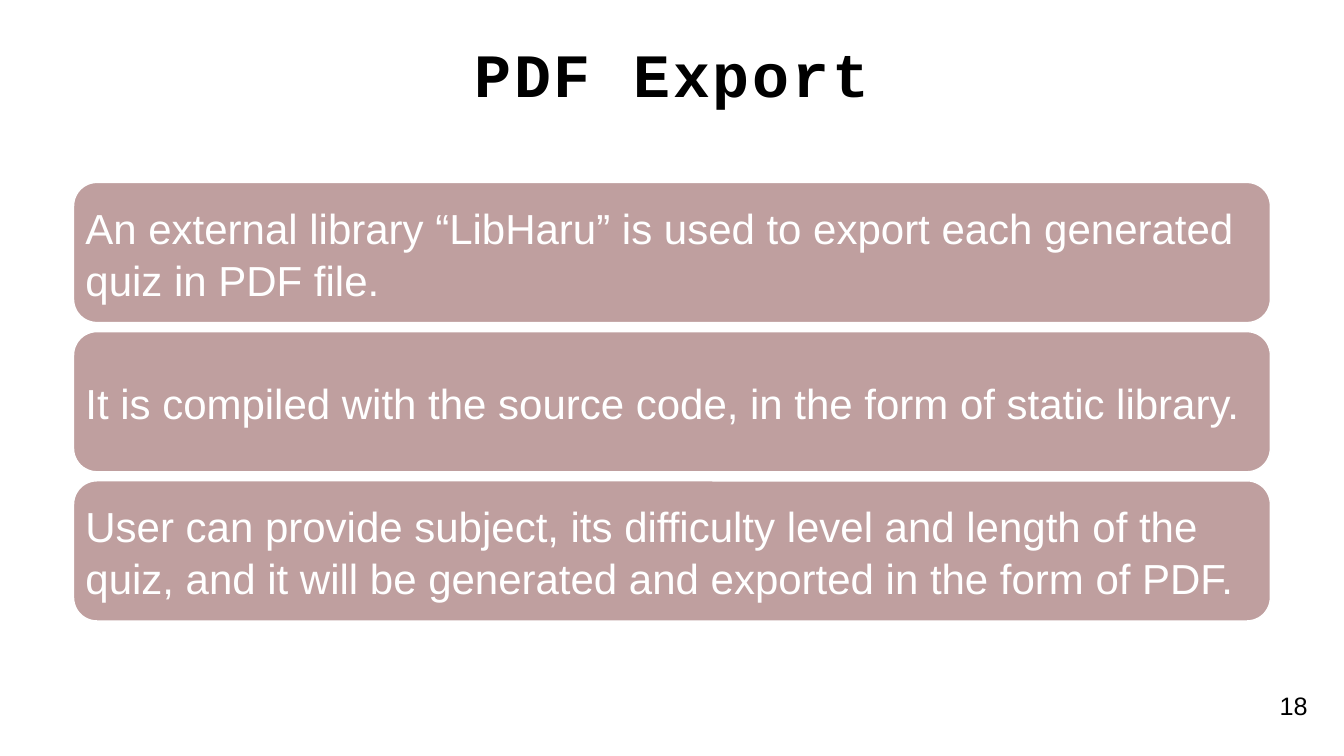
from dataclasses import dataclass

from pptx import Presentation
from pptx.dml.color import RGBColor
from pptx.enum.shapes import MSO_SHAPE
from pptx.enum.text import MSO_ANCHOR as Anchor, MSO_AUTO_SIZE as AutoSize, PP_ALIGN as Align
from pptx.slide import Slide
from pptx.text.text import TextFrame
from pptx.util import Emu, Pt

EMU_PER_PX = 9144
BLACK = RGBColor(0x00, 0x00, 0x00)
WHITE = RGBColor(0xFF, 0xFF, 0xFF)
ROSE = RGBColor(0xBF, 0x9F, 0x9F)


@dataclass(frozen=True)
class Box:
    left: int
    top: int
    width: int
    height: int

    def emu(self) -> tuple[Emu, Emu, Emu, Emu]:
        return px(self.left), px(self.top), px(self.width), px(self.height)


@dataclass(frozen=True)
class Style:
    font: str
    size: int
    color: RGBColor
    align: Align
    bold: bool = False
    tracking: int = 0
    line_spacing: float = 1.0


TITLE = Style("Courier New", 44, BLACK, Align.CENTER, bold=True, tracking=2)
POINT = Style("Arial", 30, WHITE, Align.LEFT, line_spacing=1.04)
NUMBER = Style("Arial", 18, BLACK, Align.CENTER)

TITLE_BOX = Box(73, 48, 1187, 48)
NUMBER_BOX = Box(1259, 680, 48, 40)
FIRST_CARD = Box(73, 181, 1187, 139)
CARD_PITCH = 148
CARD_INSET = 5

POINTS = [
    "An external library “LibHaru” is used to export each generated quiz in PDF file.",
    "It is compiled with the source code, in the form of static library.",
    "User can provide subject, its difficulty level and length of the quiz, "
    "and it will be generated and exported in the form of PDF.",
]


def px(n: int) -> Emu:
    return Emu(n * EMU_PER_PX)


def write(tf: TextFrame, text: str, style: Style) -> None:
    tf.text = text
    tf.word_wrap = True
    tf.auto_size = AutoSize.NONE
    tf.vertical_anchor = Anchor.MIDDLE
    p = tf.paragraphs[0]
    p.alignment = style.align
    p.line_spacing = style.line_spacing
    r = p.runs[0]
    r.font.name = style.font
    r.font.size = Pt(style.size)
    r.font.bold = style.bold
    r.font.color.rgb = style.color
    if style.tracking:
        r._r.get_or_add_rPr().set("spc", str(style.tracking * 100))


def add_title(s: Slide, text: str) -> None:
    sp = s.shapes.title
    sp.left, sp.top, sp.width, sp.height = TITLE_BOX.emu()
    write(sp.text_frame, text, TITLE)


def add_card(s: Slide, box: Box, text: str) -> None:
    sp = s.shapes.add_shape(MSO_SHAPE.ROUNDED_RECTANGLE, *box.emu())
    sp.shadow.inherit = False
    sp.fill.solid()
    sp.fill.fore_color.rgb = ROSE
    sp.line.color.rgb = WHITE
    sp.line.width = Pt(1)
    tf = sp.text_frame
    tf.margin_left = tf.margin_right = tf.margin_top = tf.margin_bottom = px(CARD_INSET)
    write(tf, text, POINT)


def add_number(s: Slide, text: str) -> None:
    sp = s.shapes.add_textbox(*NUMBER_BOX.emu())
    write(sp.text_frame, text, NUMBER)


def main() -> None:
    prs = Presentation()
    prs.slide_width, prs.slide_height = px(1333), px(750)
    s = prs.slides.add_slide(prs.slide_layouts.get_by_name("Title Only"))
    add_title(s, "PDF Export")
    for i, text in enumerate(POINTS):
        top = FIRST_CARD.top + i * CARD_PITCH
        add_card(s, Box(FIRST_CARD.left, top, FIRST_CARD.width, FIRST_CARD.height), text)
    add_number(s, "18")
    prs.save("out.pptx")


if __name__ == "__main__":
    main()
